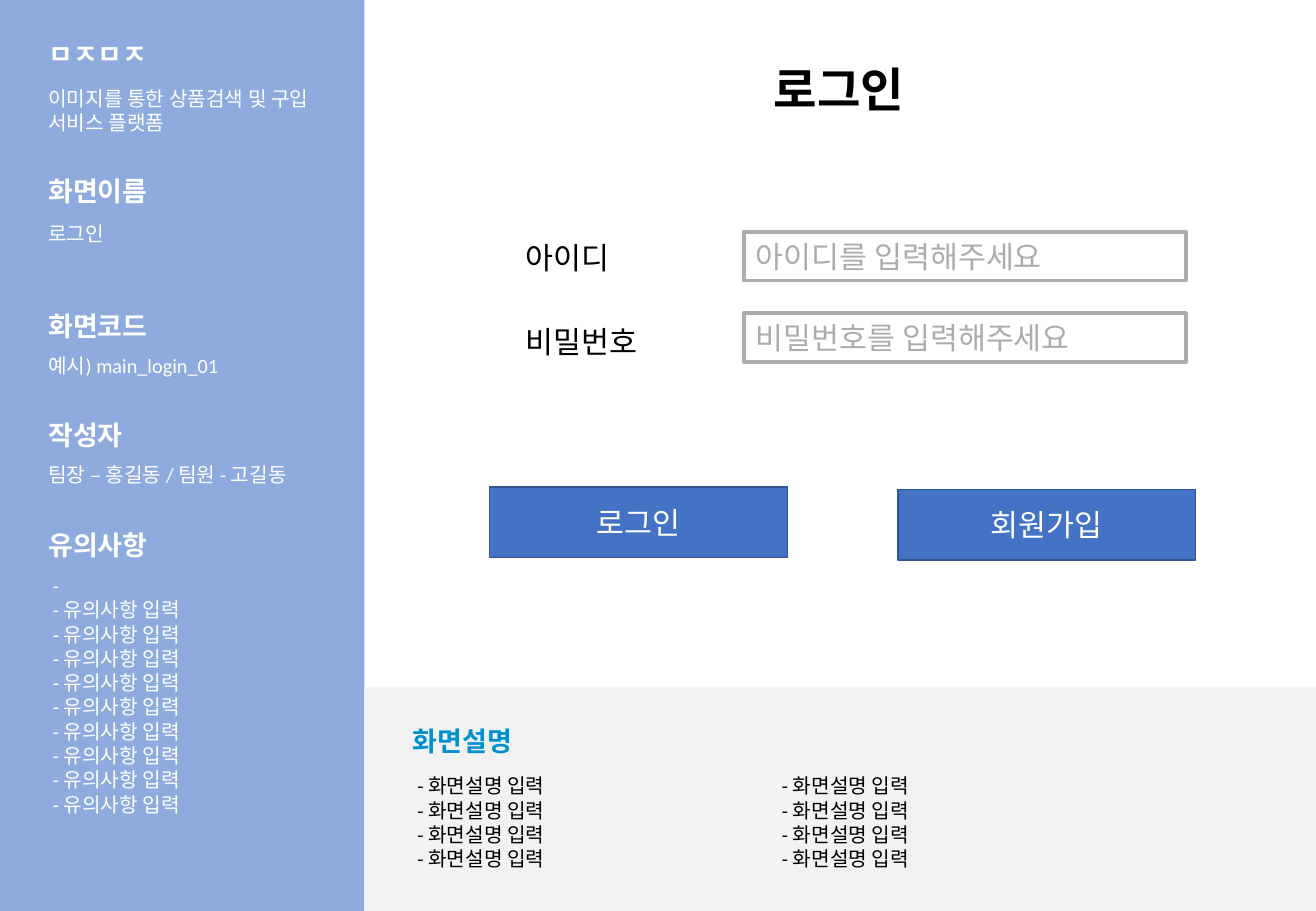
from pptx import Presentation
from pptx import util as u
from pptx.dml import color
from pptx.enum import shapes, text

COLUMN, ROW = u.Inches(0.3), u.Inches(0.1)
COLUMNS, ROWS = 36.1, 75
SIDEBAR, MARGIN = 10, 1
FOOTER_TOP = 56.6
WHITE, BLACK, GRAY = "FFFFFF", "000000", "AFABAB"
SIDEBAR_FILL, FOOTER_FILL, ACCENT = "8FAADC", "F2F2F2", "0090D0"
BUTTON_FILL, BUTTON_LINE = "4472C4", "325491"

SECTIONS = [
    ("ㅁㅈㅁㅈ", 2.6, ["이미지를 통한 상품검색 및 구입 서비스 플랫폼"], 6.6, 5),
    ("화면이름", 13.9, ["로그인"], 17.7, 3),
    ("화면코드", 25, ["예시) main_login_01"], 28.6, 3),
    ("작성자", 34, ["팀장 – 홍길동 / 팀원 - 고길동"], 37.6, 3),
    ("유의사항", 43, [" -"] + [" - 유의사항 입력"] * 9, 46.7, 21.2),
]
FIELDS = [
    ("아이디", 19.2, "아이디를 입력해주세요", 19.1),
    ("비밀번호", 26.1, "비밀번호를 입력해주세요", 25.8),
]
BUTTONS = [("로그인", 13.43, 40.1), ("회원가입", 24.63, 40.3)]


def rgb(value):
    """Turn a hex string into a colour."""
    return color.RGBColor.from_string(value)


def place(left, top, width, height):
    """Convert grid columns and rows into slide lengths."""
    return [u.Emu(round(n * unit)) for n, unit in
            ((left, COLUMN), (top, ROW), (width, COLUMN), (height, ROW))]


def write(shape, lines, size, ink, bold=False, align=text.PP_ALIGN.LEFT):
    """Fill a shape with one paragraph per line in a single style."""
    frame = shape.text_frame
    frame.text = "\n".join(lines)
    for paragraph in frame.paragraphs:
        paragraph.alignment = align
        for run in paragraph.runs:
            run.font.name = "Calibri"
            run.font.size = u.Pt(size)
            run.font.bold = bold
            run.font.color.rgb = rgb(ink)


def add_text(container, box, lines, size, ink, bold=False, wrap=True):
    """Add a text box that grows with its text."""
    shape = container.add_textbox(*place(*box))
    shape.text_frame.word_wrap = wrap
    shape.text_frame.auto_size = text.MSO_AUTO_SIZE.SHAPE_TO_FIT_TEXT
    write(shape, lines, size, ink, bold)


def add_heading(container, left, top, label, ink):
    """Add a bold heading whose box is as wide as its label."""
    width = 0.73 * len(label) + 0.75
    add_text(container, (left, top, width, 3.7), [label], 16, ink, True, False)


def add_box(container, box, fill=None, line=None, weight=1):
    """Add a plain rectangle with optional fill and outline."""
    shape = container.add_shape(shapes.MSO_SHAPE.RECTANGLE, *place(*box))
    shape.shadow.inherit = False
    if fill:
        shape.fill.solid()
        shape.fill.fore_color.rgb = rgb(fill)
    else:
        shape.fill.background()
    if line:
        shape.line.color.rgb = rgb(line)
        shape.line.width = u.Pt(weight)
    else:
        shape.line.fill.background()
    return shape


def add_section(container, heading, heading_top, lines, top, height):
    """Add a grouped heading and body to the sidebar."""
    group = container.add_group_shape().shapes
    add_heading(group, MARGIN, heading_top, heading, WHITE)
    add_text(group, (MARGIN, top, 7.9, height), lines, 12, WHITE)


def add_field(container, label, label_top, hint, top):
    """Add a label and its outlined input with a hint."""
    add_text(container, (14.1, label_top, 4, 4), [label], 18, BLACK)
    shape = add_box(container, (20.4, top, 12.13, 4), line=GRAY, weight=2.25)
    shape.text_frame.word_wrap = True
    shape.text_frame.auto_size = text.MSO_AUTO_SIZE.SHAPE_TO_FIT_TEXT
    shape.text_frame.vertical_anchor = text.MSO_ANCHOR.TOP
    write(shape, [hint], 18, GRAY)


def add_button(container, label, left, top):
    """Add a filled button with a centred label."""
    shape = add_box(container, (left, top, 8.17, 5.8), BUTTON_FILL, BUTTON_LINE)
    shape.text_frame.vertical_anchor = text.MSO_ANCHOR.MIDDLE
    write(shape, [label], 18, WHITE, align=text.PP_ALIGN.CENTER)


def main():
    """Build the login screen specification slide."""
    presentation = Presentation()
    presentation.slide_width = round(COLUMNS * COLUMN)
    presentation.slide_height = ROWS * ROW
    slide = presentation.slides.add_slide(presentation.slide_layouts[6])
    container = slide.shapes

    add_box(container, (0, 0, SIDEBAR, ROWS), SIDEBAR_FILL)
    for section in SECTIONS:
        add_section(container, *section)

    add_box(container, (SIDEBAR, FOOTER_TOP, COLUMNS - SIDEBAR, ROWS - FOOTER_TOP),
            FOOTER_FILL)
    content_left = SIDEBAR + MARGIN
    add_heading(container, content_left, 59.2, "화면설명", ACCENT)
    for left in (content_left, content_left + 10):
        add_text(container, (left, 63.2, 9, 9.1), [" - 화면설명 입력"] * 4, 12, BLACK)

    add_text(container, (20.9, 4.5, 15, 5.7), ["로그인"], 28, BLACK, True)
    for field in FIELDS:
        add_field(container, *field)
    for button in BUTTONS:
        add_button(container, *button)
    presentation.save("out.pptx")


if __name__ == "__main__":
    main()
